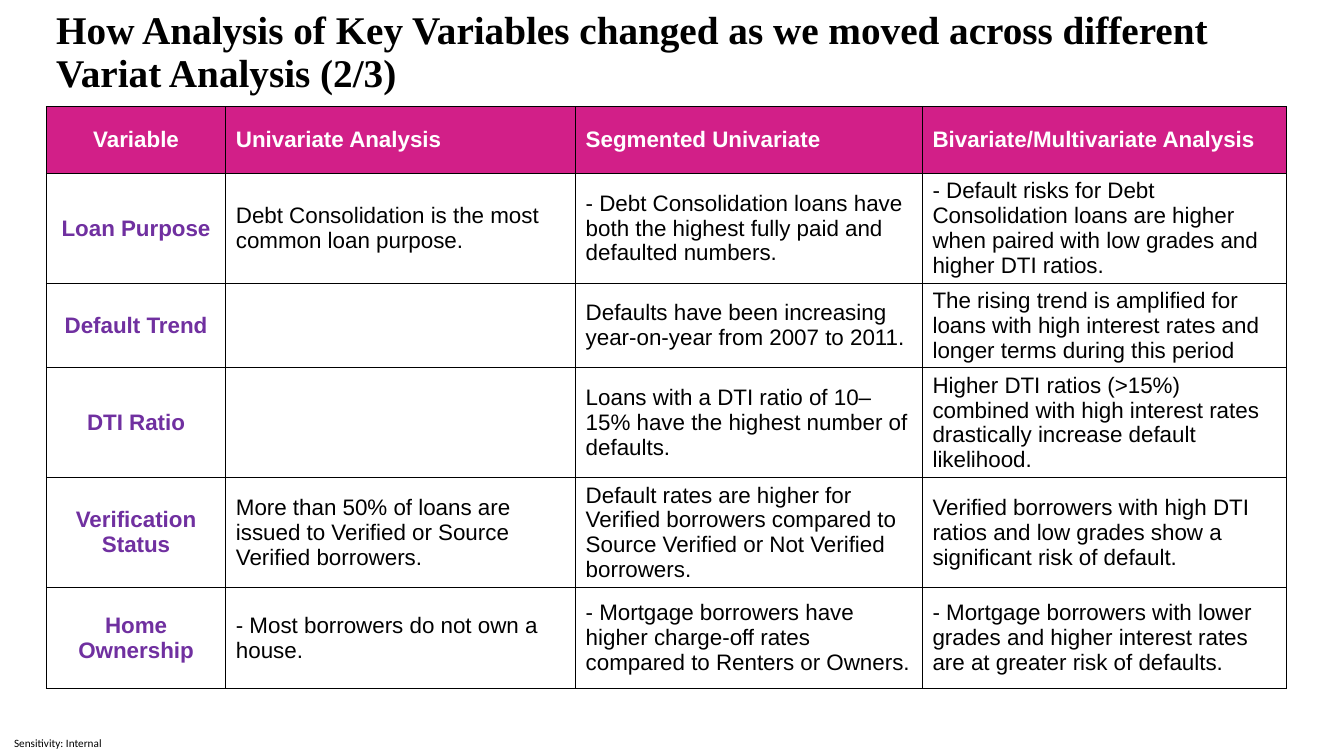
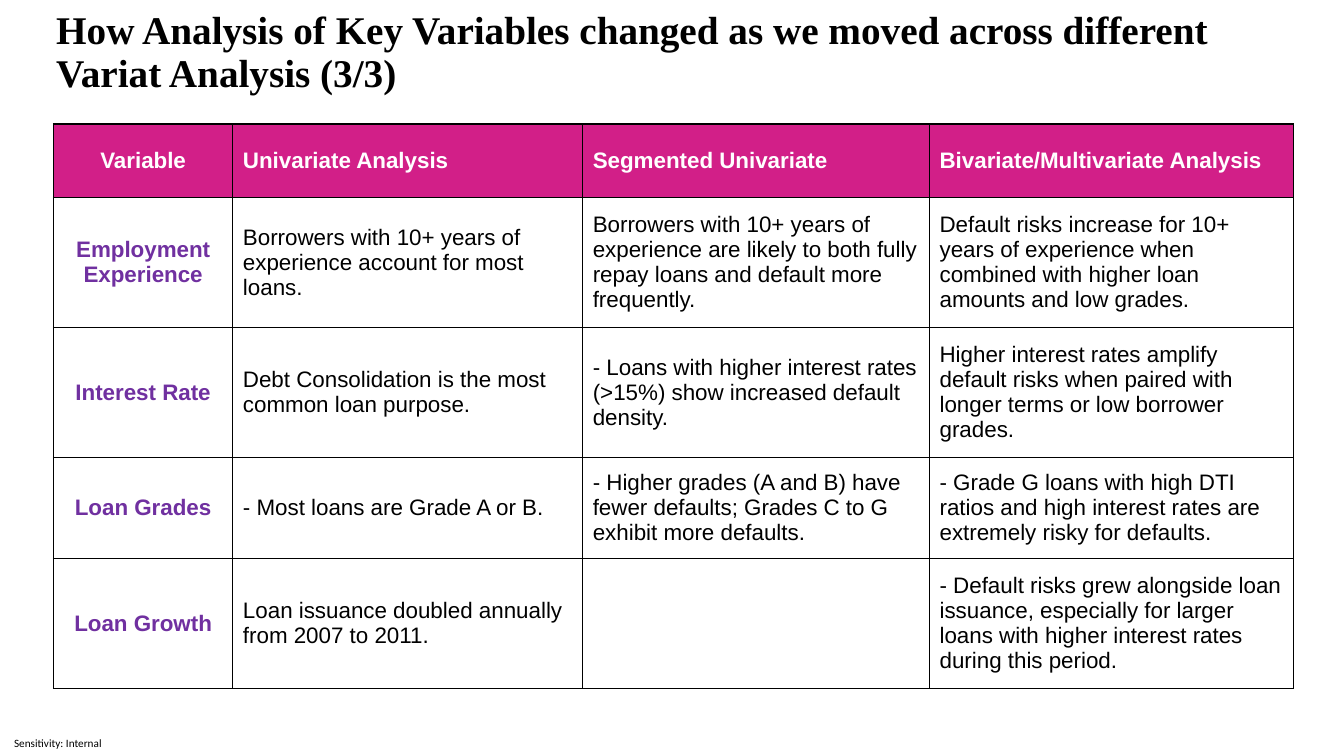
import dataclasses

import lxml.etree
import pptx
import pptx.dml.color
import pptx.enum.text
import pptx.oxml.ns
import pptx.util

Inches = pptx.util.Inches
ALIGN = pptx.enum.text.PP_ALIGN
MIDDLE = pptx.enum.text.MSO_ANCHOR.MIDDLE


@dataclasses.dataclass(frozen=True)
class Theme:
    ink: str = "000000"
    header_fill: str = "D21F88"
    header_ink: str = "FFFFFF"
    variable_ink: str = "7030A0"
    title_font: str = "Times New Roman"
    table_font: str = "Arial"
    footer_font: str = "Calibri"
    title_size: int = 28
    table_size: int = 16
    footer_size: int = 8
    border_width: int = 1


THEME = Theme()
TITLE_BOX = (0.46, 0.26, 12.44, 0.54)
FOOTER_BOX = (0, 7.25, 1.14, 0.25)
COLUMN_WIDTHS = (1.78, 3.47, 3.44, 3.61)
HEADINGS = ("Variable", "Univariate Analysis", "Segmented Univariate",
            "Bivariate/Multivariate Analysis")

# Each page: part number, table corner, row heights and body rows
PAGES = (
    (2, (0.46, 1.06), (0.66, 1.09, 0.84, 1.09, 1.09, 1), (
        ("Loan Purpose",
         "Debt Consolidation is the most common loan purpose.",
         "- Debt Consolidation loans have both the highest fully paid and defaulted numbers.",
         "- Default risks for Debt Consolidation loans are higher when paired with low grades "
         "and higher DTI ratios."),
        ("Default Trend",
         "",
         "Defaults have been increasing year-on-year from 2007 to 2011.",
         "The rising trend is amplified for loans with high interest rates and longer terms "
         "during this period"),
        ("DTI Ratio",
         "",
         "Loans with a DTI ratio of 10–15% have the highest number of defaults.",
         "Higher DTI ratios (>15%) combined with high interest rates drastically increase "
         "default likelihood."),
        ("Verification Status",
         "More than 50% of loans are issued to Verified or Source Verified borrowers.",
         "Default rates are higher for Verified borrowers compared to Source Verified or "
         "Not Verified borrowers.",
         "Verified borrowers with high DTI ratios and low grades show a significant risk "
         "of default."),
        ("Home Ownership",
         "- Most borrowers do not own a house.",
         "- Mortgage borrowers have higher charge-off rates compared to Renters or Owners.",
         "- Mortgage borrowers with lower grades and higher interest rates are at greater "
         "risk of defaults."),
    )),
    (3, (0.53, 1.23), (0.73, 1.29, 1.29, 1, 1.29), (
        ("Employment Experience",
         "Borrowers with 10+ years of experience account for most loans.",
         "Borrowers with 10+ years of experience are likely to both fully repay loans and "
         "default more frequently.",
         "Default risks increase for 10+ years of experience when combined with higher loan "
         "amounts and low grades."),
        ("Interest Rate",
         "Debt Consolidation is the most common loan purpose.",
         "- Loans with higher interest rates (>15%) show increased default density.",
         "Higher interest rates amplify default risks when paired with longer terms or low "
         "borrower grades."),
        ("Loan Grades",
         "- Most loans are Grade A or B.",
         "- Higher grades (A and B) have fewer defaults; Grades C to G exhibit more defaults.",
         "- Grade G loans with high DTI ratios and high interest rates are extremely risky "
         "for defaults."),
        ("Loan Growth",
         "Loan issuance doubled annually from 2007 to 2011.",
         "",
         "- Default risks grew alongside loan issuance, especially for larger loans with "
         "higher interest rates during this period."),
    )),
)


def add_span(para, text, font, size, color, bold=False):
    span = para.add_run()
    span.text = text
    span.font.name = font
    span.font.size = pptx.util.Pt(size)
    span.font.bold = bold
    span.font.color.rgb = pptx.dml.color.RGBColor.from_string(color)


def add_text_frame(page, box):
    frame = page.shapes.add_textbox(*map(Inches, box)).text_frame
    frame.word_wrap = True
    frame.vertical_anchor = MIDDLE
    return frame


def add_title(page, box, part):
    para = add_text_frame(page, box).paragraphs[0]
    para.line_spacing = 0.9
    add_span(para, "How Analysis of Key Variables changed as we moved across different "
             f"Variat Analysis ({part}/3)", THEME.title_font, THEME.title_size,
             THEME.ink, bold=True)


def add_footer(page, box):
    frame = add_text_frame(page, box)
    frame.margin_left = Inches(0.14)
    frame.margin_right = frame.margin_top = frame.margin_bottom = 0
    add_span(frame.paragraphs[0], "Sensitivity: Internal", THEME.footer_font,
             THEME.footer_size, THEME.ink)


def add_borders(cell):
    """Borders go in before the fill, as the schema orders them."""
    qn = pptx.oxml.ns.qn
    properties = cell._tc.get_or_add_tcPr()
    for side in ("lnL", "lnR", "lnT", "lnB"):
        line = lxml.etree.SubElement(properties, qn(f"a:{side}"),
                                     w=str(pptx.util.Pt(THEME.border_width)))
        fill = lxml.etree.SubElement(line, qn("a:solidFill"))
        lxml.etree.SubElement(fill, qn("a:srgbClr"), val=THEME.ink)


def fill_cell(cell, text, is_header, is_variable):
    add_borders(cell)
    cell.vertical_anchor = MIDDLE
    cell.margin_top = cell.margin_bottom = Inches(0.01)
    if is_header:
        cell.fill.solid()
        cell.fill.fore_color.rgb = pptx.dml.color.RGBColor.from_string(THEME.header_fill)
        color = THEME.header_ink
    else:
        cell.fill.background()
        color = THEME.variable_ink if is_variable else THEME.ink
    para = cell.text_frame.paragraphs[0]
    para.alignment = ALIGN.CENTER if is_variable else ALIGN.LEFT
    if text:
        add_span(para, text, THEME.table_font, THEME.table_size, color,
                 bold=is_header or is_variable)


def add_analysis_table(page, corner, heights, body):
    rows = (HEADINGS, *body)
    box = (*corner, sum(COLUMN_WIDTHS), sum(heights))
    table = page.shapes.add_table(len(rows), len(HEADINGS), *map(Inches, box)).table
    table.first_row = table.horz_banding = False
    for column, width in zip(table.columns, COLUMN_WIDTHS):
        column.width = Inches(width)
    for row, height in zip(table.rows, heights):
        row.height = Inches(height)
    for r, texts in enumerate(rows):
        for c, text in enumerate(texts):
            fill_cell(table.cell(r, c), text, is_header=r == 0, is_variable=c == 0)


def add_analysis_page(deck, part, corner, heights, body):
    page = deck.slides.add_slide(deck.slide_layouts[6])
    add_footer(page, FOOTER_BOX)
    add_title(page, TITLE_BOX, part)
    add_analysis_table(page, corner, heights, body)


def main():
    deck = pptx.Presentation()
    deck.slide_width, deck.slide_height = Inches(13.33), Inches(7.5)
    for content in PAGES:
        add_analysis_page(deck, *content)
    deck.save("out.pptx")


if __name__ == "__main__":
    main()
